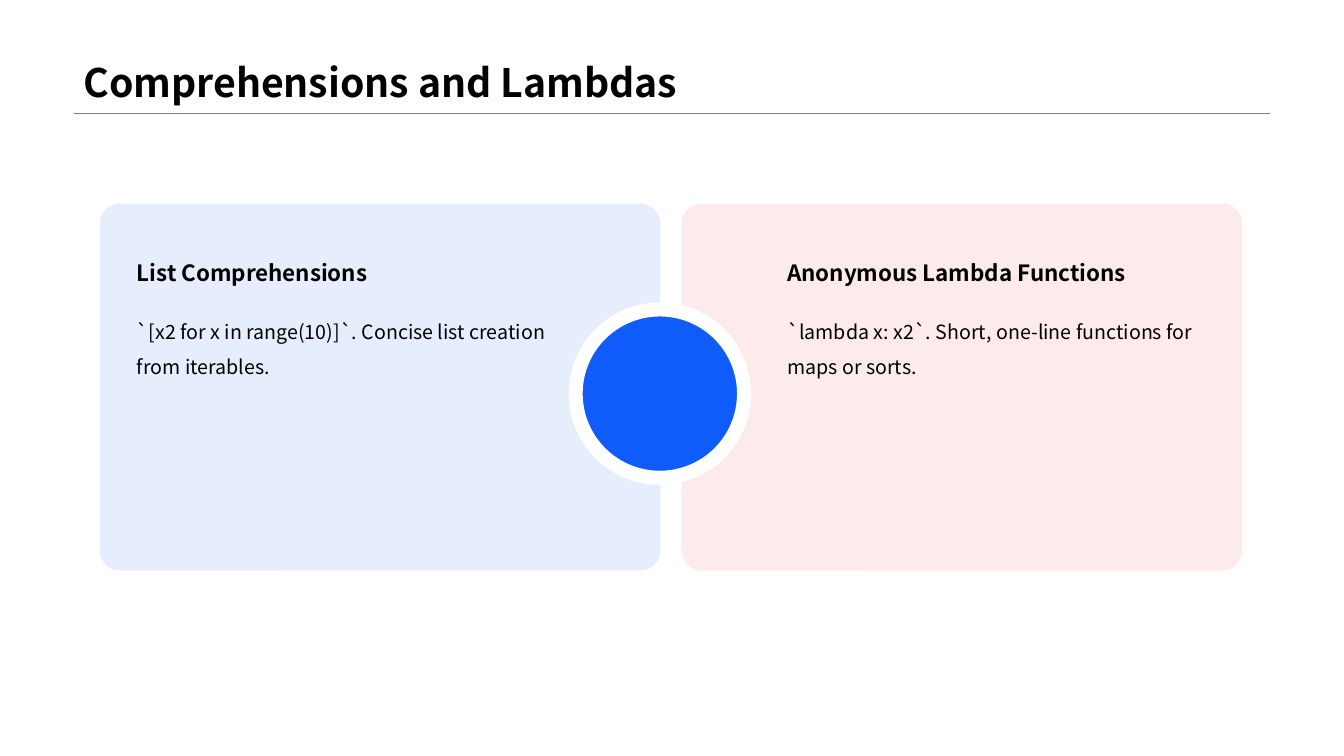
from pptx import Presentation
from pptx import util as u
from pptx.dml.color import RGBColor
from pptx.enum import shapes, text
from pptx.oxml.ns import qn
from lxml import etree

HUES = {"blue": "105CFB", "red": "ED4042", "rule": "808080",
        "ink": "000000", "white": "FFFFFF"}
FONT = "Noto Sans CJK SC"

deck = Presentation()
deck.slide_width, deck.slide_height = u.Inches(13.33), u.Inches(7.5)
slide = deck.slides.add_slide(deck.slide_layouts[6])


def add_text(words, box, size, bold=False, space=1.0, low=False):
    frame = slide.shapes.add_textbox(*map(u.Inches, box)).text_frame
    frame.word_wrap = True
    if low:
        frame.vertical_anchor = text.MSO_ANCHOR.BOTTOM
    para = frame.paragraphs[0]
    para.text = words
    para.line_spacing = space
    para.font.name, para.font.size, para.font.bold = FONT, u.Pt(size), bold
    para.font.color.rgb = RGBColor.from_string(HUES["ink"])


def add_form(kind, box, hue):
    form = slide.shapes.add_shape(kind, *map(u.Inches, box))
    form.shadow.inherit = False
    form.fill.solid()
    form.fill.fore_color.rgb = RGBColor.from_string(HUES[hue])
    form.line.fill.background()
    return form


# Title and rule
rule = slide.shapes.add_connector(
    shapes.MSO_CONNECTOR.STRAIGHT, *map(u.Inches, (0.73, 1.12, 12.6, 1.12)))
rule.line.color.rgb = RGBColor.from_string(HUES["rule"])
rule.line.width = u.Pt(0.25)
etree.SubElement(rule._element.spPr, qn("a:effectLst"))
add_text("Comprehensions and Lambdas", (0.73, -0.02, 11.87, 1.12), 28,
         bold=True, space=0.9, low=True)

# Cards: left edge, text edge, hue, heading, body
cards = [
    (0.99, 1.26, "blue", "List Comprehensions",
     "`[x2 for x in range(10)]`. Concise list creation from iterables."),
    (6.76, 7.71, "red", "Anonymous Lambda Functions",
     "`lambda x: x2`. Short, one-line functions for maps or sorts."),
]
for left, edge, hue, head, body in cards:
    card = add_form(shapes.MSO_SHAPE.ROUNDED_RECTANGLE,
                    (left, 2.02, 5.56, 3.64), hue)
    card.adjustments[0] = 0.054
    tint = card._element.spPr.find(qn("a:solidFill"))[0]
    etree.SubElement(tint, qn("a:alpha"), val="10000")
    add_text(head, (edge, 2.52, 4.27, 0.37), 16, bold=True, low=True)
    add_text(body, (edge, 3.01, 4.39, 1.47), 14, space=1.5)

# Centre disc with white ring
disc = add_form(shapes.MSO_SHAPE.OVAL, (5.71, 3.07, 1.67, 1.67), "blue")
disc.line.color.rgb = RGBColor.from_string(HUES["white"])
disc.line.width = u.Pt(10)

deck.save("out.pptx")
